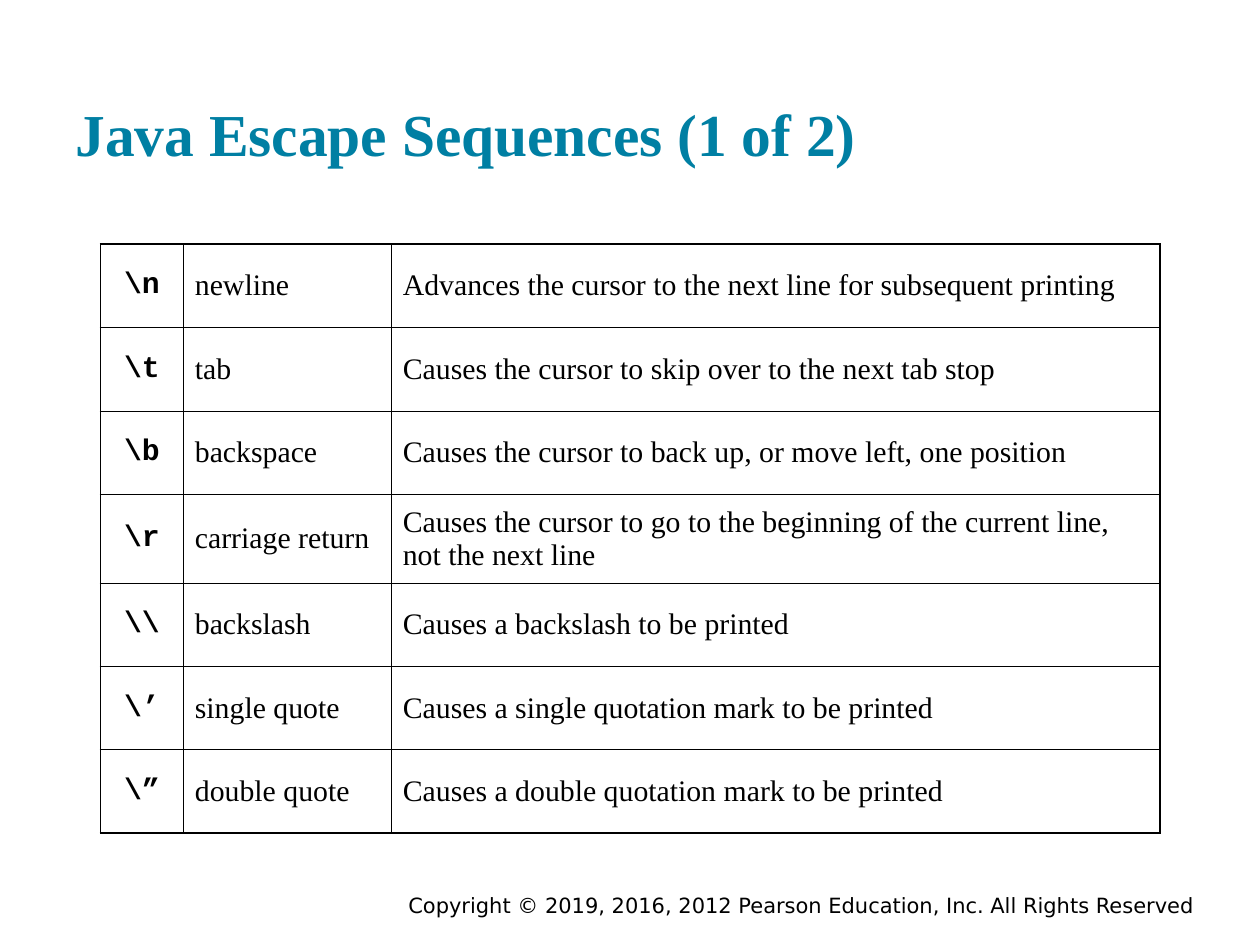
from lxml import etree
from pptx import Presentation
from pptx.dml.color import RGBColor
from pptx.enum.text import MSO_ANCHOR, MSO_AUTO_SIZE, PP_ALIGN
from pptx.oxml.ns import qn
from pptx.util import Pt

LEFT, CENTER, RIGHT = PP_ALIGN.LEFT, PP_ALIGN.CENTER, PP_ALIGN.RIGHT
MIDDLE, BOTTOM = MSO_ANCHOR.MIDDLE, MSO_ANCHOR.BOTTOM
NO_AUTOFIT = MSO_AUTO_SIZE.NONE

BLACK, TEAL = "000000", "007FA3"
SERIF, MONO, SANS = "Times New Roman", "Courier New", "DejaVu Sans"
OUTER_LINE, INNER_LINE = Pt(1.08), Pt(0.45)

ESCAPE_SEQUENCES = [
    (r"\n", "newline", "Advances the cursor to the next line for subsequent printing"),
    (r"\t", "tab", "Causes the cursor to skip over to the next tab stop"),
    (r"\b", "backspace", "Causes the cursor to back up, or move left, one position"),
    (r"\r", "carriage return",
     "Causes the cursor to go to the beginning of the current line, not the next line"),
    (r"\\", "backslash", "Causes a backslash to be printed"),
    (r"\’", "single quote", "Causes a single quotation mark to be printed"),
    (r"\”", "double quote", "Causes a double quotation mark to be printed"),
]
COLUMN_WIDTHS = [47.5, 118.8, 439.2]
ROW_HEIGHTS = [47.7, 47.7, 47.7, 50.6, 47.7, 47.7, 47.7]


def write_text(text_frame, text, font_name, size, color, bold, alignment):
    text_frame.text = text
    paragraph = text_frame.paragraphs[0]
    paragraph.alignment = alignment
    font = paragraph.font
    font.name, font.size, font.bold = font_name, Pt(size), bold
    font.color.rgb = RGBColor.from_string(color)


def add_border(cell, side, width):
    """Draw one side ("L", "R", "T" or "B", added in this order) of a cell."""
    properties = cell._tc.get_or_add_tcPr()
    line = etree.SubElement(properties, qn(f"a:ln{side}"), w=str(width))
    fill = etree.SubElement(line, qn("a:solidFill"))
    etree.SubElement(fill, qn("a:srgbClr"), val=BLACK)


presentation = Presentation()
presentation.slide_width, presentation.slide_height = Pt(720), Pt(540)
slide = presentation.slides.add_slide(presentation.slide_layouts[5])

title = slide.shapes.title
title.left, title.top, title.width, title.height = Pt(36), Pt(17.3), Pt(648), Pt(86.4)
title_frame = title.text_frame
title_frame.auto_size = NO_AUTOFIT
title_frame.vertical_anchor = BOTTOM
title_frame.margin_left = title_frame.margin_right = Pt(7.2)
title_frame.margin_top = title_frame.margin_bottom = Pt(7.2)
write_text(title_frame, "Java Escape Sequences (1 of 2)", SERIF, 34, TEAL, True, LEFT)

row_count, column_count = len(ROW_HEIGHTS), len(COLUMN_WIDTHS)
table = slide.shapes.add_table(
    row_count, column_count, Pt(57.4), Pt(139.5),
    Pt(sum(COLUMN_WIDTHS)), Pt(sum(ROW_HEIGHTS))).table
table.first_row = table.horz_banding = False
for column, width in zip(table.columns, COLUMN_WIDTHS):
    column.width = Pt(width)

for row_index, texts in enumerate(ESCAPE_SEQUENCES):
    table.rows[row_index].height = Pt(ROW_HEIGHTS[row_index])
    for column_index, text in enumerate(texts):
        cell = table.cell(row_index, column_index)
        is_code = column_index == 0
        outer_sides = {
            "L": is_code,
            "R": column_index == column_count - 1,
            "T": row_index == 0,
            "B": row_index == row_count - 1,
        }
        for side, is_outer in outer_sides.items():
            add_border(cell, side, OUTER_LINE if is_outer else INNER_LINE)
        cell.fill.background()
        cell.vertical_anchor = MIDDLE
        cell.margin_left = cell.margin_right = Pt(6.5)
        cell.margin_top = cell.margin_bottom = Pt(3.6)
        write_text(cell.text_frame, text, MONO if is_code else SERIF, 17, BLACK,
                   is_code, CENTER if is_code else LEFT)

copyright_box = slide.shapes.add_textbox(Pt(126), Pt(506.2), Pt(563.8), Pt(15.8))
copyright_box.text_frame.word_wrap = True
write_text(copyright_box.text_frame,
           "Copyright © 2019, 2016, 2012 Pearson Education, Inc. All Rights Reserved",
           SANS, 12, BLACK, False, RIGHT)

presentation.save("out.pptx")
